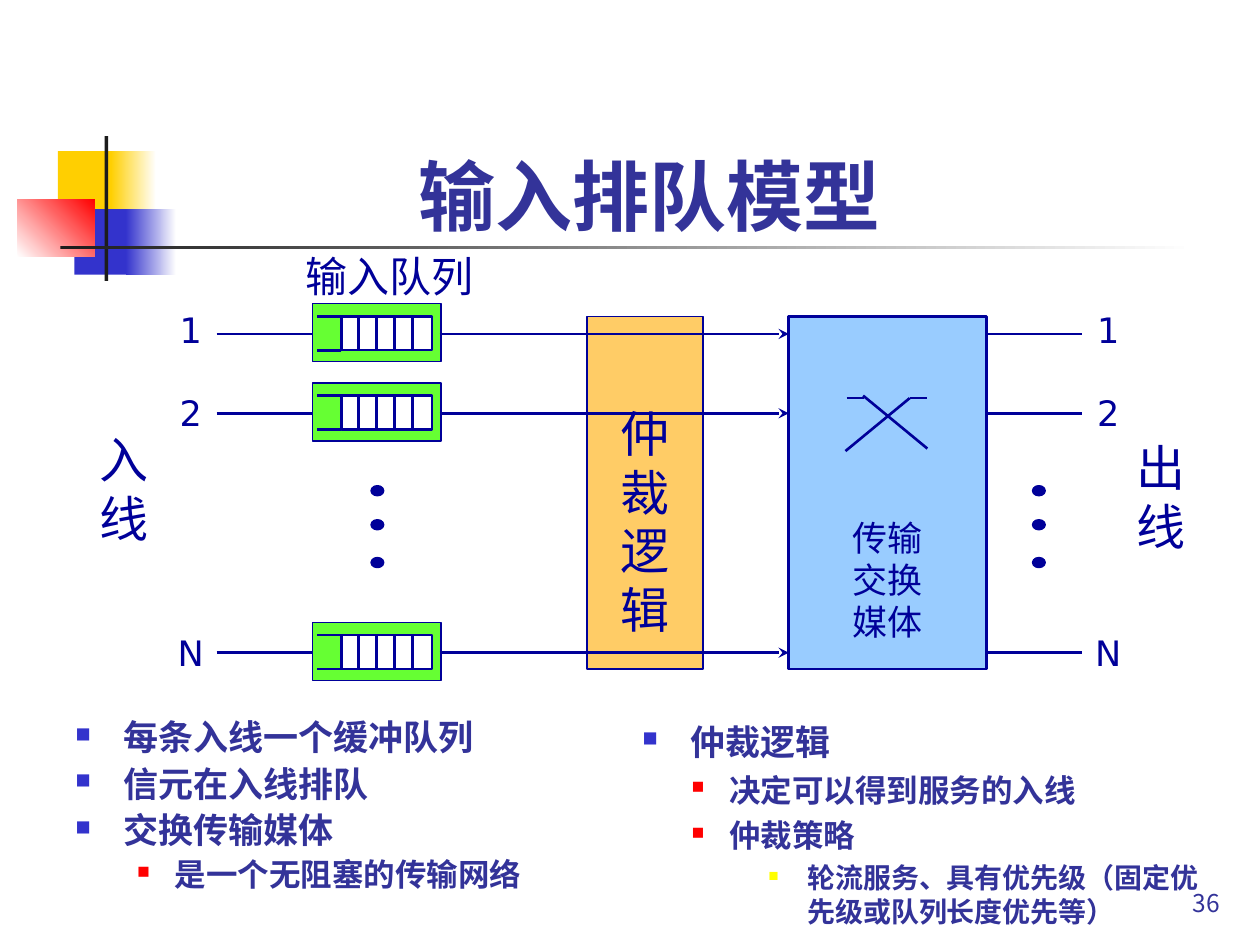
import pptx
import pptx.util
import pptx.dml.color
import pptx.enum.shapes
import pptx.enum.text
import pptx.oxml
import pptx.oxml.ns
from pptx.util import Inches

COLORS = {
    "navy": "000099", "indigo": "333399", "blue": "3333CC", "yellow": "FFCF01",
    "red": "FF0000", "white": "FFFFFF", "black": "1C1C1C", "orange": "FFCC66",
    "green": "66FF33", "sky": "99CCFF", "bullet_yellow": "FFFF00",
}
RGB = {name: pptx.dml.color.RGBColor.from_string(value) for name, value in COLORS.items()}
SHAPE = pptx.enum.shapes.MSO_SHAPE
ALIGN = pptx.enum.text.PP_ALIGN
ANCHOR = pptx.enum.text.MSO_ANCHOR
qn = pptx.oxml.ns.qn

presentation = pptx.Presentation()
presentation.slide_width = Inches(10)
presentation.slide_height = Inches(7.5)
slide = presentation.slides.add_slide(presentation.slide_layouts[6])


def add_box(left, top, width, height, fill, line_width=0, kind=SHAPE.RECTANGLE, end_fill=None, angle=0):
    shape = slide.shapes.add_shape(kind, Inches(left), Inches(top), Inches(width), Inches(height))
    shape.shadow.inherit = False
    if end_fill:
        shape.fill.gradient()
        shape.fill.gradient_angle = angle
        for stop, color, position in zip(shape.fill.gradient_stops, (fill, end_fill), (0, 1)):
            stop.color.rgb = RGB[color]
            stop.position = position
    else:
        shape.fill.solid()
        shape.fill.fore_color.rgb = RGB[fill]
    if line_width:
        shape.line.color.rgb = RGB["navy"]
        shape.line.width = pptx.util.Pt(line_width)
    else:
        shape.line.fill.background()


def add_line(x1, y1, x2, y2, arrow=False):
    line = slide.shapes.add_connector(
        pptx.enum.shapes.MSO_CONNECTOR.STRAIGHT, Inches(x1), Inches(y1), Inches(x2), Inches(y2))
    line.line.color.rgb = RGB["navy"]
    line.line.width = pptx.util.Pt(1.5)
    properties = line._element.spPr
    if arrow:
        tail = properties.find(qn("a:ln")).makeelement(qn("a:tailEnd"), {"type": "stealth"})
        properties.find(qn("a:ln")).append(tail)
    properties.append(properties.makeelement(qn("a:effectLst"), {}))


add_box(0.46, 1.2, 0.48, 0.52, "yellow")
add_box(0.88, 1.2, 0.36, 0.52, "yellow", end_fill="white")
add_box(0.59, 1.66, 0.46, 0.52, "blue")
add_box(1, 1.66, 0.4, 0.52, "blue", end_fill="white")
add_box(0.14, 1.58, 0.61, 0.46, "white", end_fill="red", angle=45)
add_box(0.83, 1.08, 0.03, 1.15, "black")
add_box(0.48, 1.95, 9, 0.03, "black", end_fill="white")

add_box(4.66, 2.51, 0.92, 2.8, "orange", 0.75)
row_centers = (2.65, 3.28, 5.18)
for center in row_centers:
    add_box(2.48, center - 0.24, 1.02, 0.46, "green", 0.75)
    top, bottom = center - 0.14, center + 0.13
    add_box(2.71, top, 0.72, bottom - top, "white", 1.5)
    for y in (top, bottom):
        add_line(2.71, y, 2.52, y)
    for cell in range(1, 5):
        x = 2.7 + 0.1433 * cell
        add_line(x, top, x, bottom)
    add_line(3.49, center, 6.26, center, arrow=True)
    add_line(1.72, center, 2.48, center)

add_box(6.26, 2.51, 1.57, 2.8, "sky", 1.5)
for center in row_centers:
    add_line(7.83, center, 8.59, center)
for ends in ((6.72, 3.16, 6.86, 3.16), (6.85, 3.14, 7.36, 3.56),
             (6.71, 3.58, 7.22, 3.16), (7.22, 3.16, 7.36, 3.16)):
    add_line(*ends)
for left in (2.95, 8.2):
    for top in (3.86, 4.13, 4.43):
        add_box(left, top, 0.09, 0.07, "navy", 1.5, SHAPE.OVAL)

SANS, CJK = "DejaVu Sans", "Noto Sans CJK JP"
MIDDLE, BOTTOM, TOP = ANCHOR.MIDDLE, ANCHOR.BOTTOM, ANCHOR.TOP
CENTER, RIGHT, LEFT = ALIGN.CENTER, ALIGN.RIGHT, ALIGN.LEFT
full_inset, no_inset = (0.1, 0.05), (0, 0)
plain = {"size": 20, "font": SANS, "color": "navy", "bold": False, "align": CENTER,
         "anchor": MIDDLE, "inset": full_inset, "spacing": None}
label = {**plain, "inset": no_inset}
heading = {**plain, "size": 44, "font": CJK, "color": "indigo", "bold": True, "anchor": BOTTOM}
number = {**heading, "size": 14, "bold": False, "align": RIGHT}
body = {**heading, "size": 20, "align": LEFT, "anchor": TOP}

texts = [
    ((7.7, 6.83, 2.08, 0.5), ["36"], number),
    ((0.9, 0.68, 8.52, 1.28), ["输入排队模型"], heading),
    ((6.26, 4.05, 1.57, 1.1), ["传输", "交换", "媒体"], plain),
    ((4.66, 3.15, 0.92, 1.97), ["仲裁", "逻辑"], {**plain, "size": 28}),
    ((8.91, 3.42, 0.61, 1.04), ["出线"], {**plain, "size": 28}),
    ((0.69, 3.36, 0.52, 1.04), ["入线"], {**plain, "size": 28}),
    ((2.09, 1.99, 2, 0.4), ["输入队列"], {**label, "size": 24}),
    ((0.5, 5.67, 4.18, 1.66),
     [(0, 0.38, "每条入线一个缓冲队列"), (0, 0.38, "信元在入线排队"),
      (0, 0.38, "交换传输媒体"), (1, 0.79, "是一个无阻塞的传输网络")],
     {**body, "spacing": 0.9}),
    ((5, 5.67, 4.79, 2.21),
     [(0, 0.38, "仲裁逻辑"), (1, 0.69, "决定可以得到服务的入线"), (1, 0.69, "仲裁策略"),
      (2, 1.31, "轮流服务、具有优先级（固定优先级或队列长度优先等）")], body),
]
for left in (1.31, 8.59):
    for name, top in zip("12N", (2.45, 3.11, 5.01)):
        texts.append(((left, top, 0.41, 0.33), [name], label))

levels = [(20, 5, 0.38, "blue", 60), (18, 4.5, 0.3, "red", 55), (16, 4, 0.31, "bullet_yellow", 50)]
for place, lines, style in texts:
    shape = slide.shapes.add_textbox(*[Inches(length) for length in place])
    frame = shape.text_frame
    frame.word_wrap = True
    frame.vertical_anchor = style["anchor"]
    frame.margin_left = frame.margin_right = Inches(style["inset"][0])
    frame.margin_top = frame.margin_bottom = Inches(style["inset"][1])
    for index, line in enumerate(lines):
        paragraph = frame.add_paragraph() if index else frame.paragraphs[0]
        paragraph.alignment = style["align"]
        size, text = style["size"], line
        if isinstance(line, tuple):
            level, indent, text = line
            size, space, hanging, color, percent = levels[level]
            paragraph.level = level
            properties = paragraph._p.get_or_add_pPr()
            properties.set("marL", str(Inches(indent)))
            properties.set("indent", str(-Inches(hanging)))
            namespace = pptx.oxml.ns.nsdecls("a")
            for xml in (f'<a:buClr {namespace}><a:srgbClr val="{COLORS[color]}"/></a:buClr>',
                        f'<a:buSzPct {namespace} val="{percent * 1000}"/>',
                        f'<a:buChar {namespace} char="■"/>'):
                properties.append(pptx.oxml.parse_xml(xml))
            if index:
                paragraph.space_before = pptx.util.Pt(space)
            if style["spacing"]:
                paragraph.line_spacing = style["spacing"]
        run = paragraph.add_run()
        run.text = text
        run.font.size = pptx.util.Pt(size)
        run.font.bold = style["bold"]
        run.font.color.rgb = RGB[style["color"]]
        run.font.name = style["font"]
        east_asian = run._r.rPr.makeelement(qn("a:ea"), {"typeface": style["font"]})
        run._r.rPr.find(qn("a:latin")).addnext(east_asian)

presentation.save("out.pptx")
